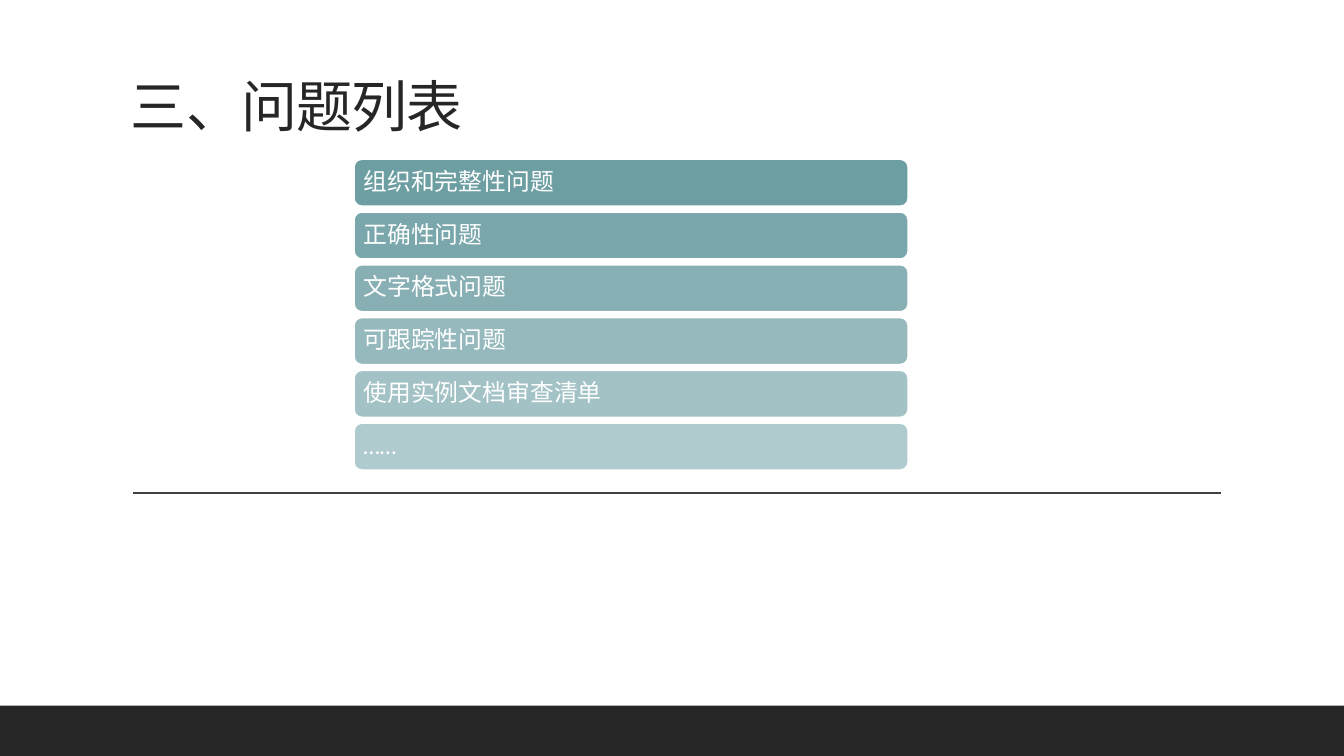
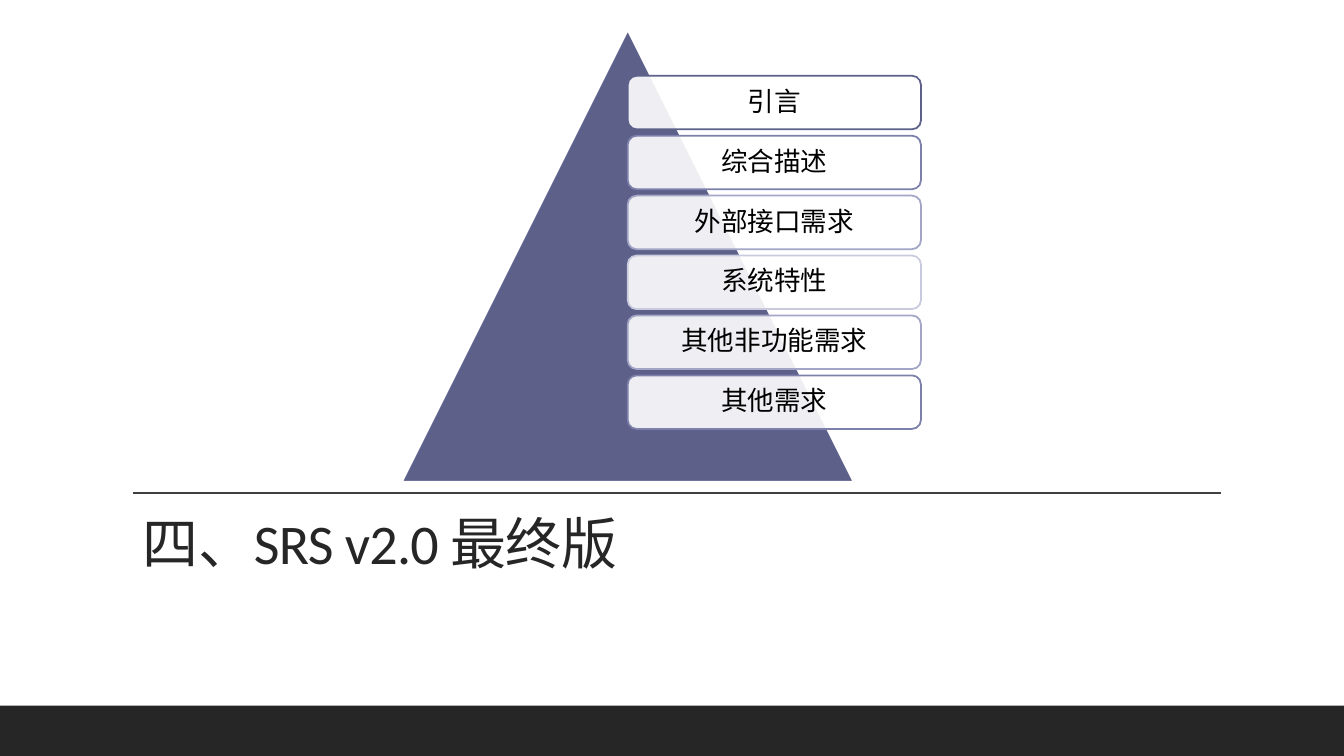
from pptx import Presentation
from pptx.dml.color import RGBColor
from pptx.enum.shapes import MSO_CONNECTOR as Connector, MSO_SHAPE as Shape
from pptx.enum.text import MSO_ANCHOR as Anchor, PP_ALIGN as Align
from pptx.oxml.ns import qn
from pptx.util import Cm, Pt
from lxml.etree import SubElement


def color(hex_string):
    return RGBColor.from_string(hex_string)


class Deck:
    FONT = "Calibri"
    INK = "262626"
    RULE = "404040"
    WHITE = "FFFFFF"
    BLACK = "000000"
    WIDTH = 33.87
    HEIGHT = 19.05
    BAND_HEIGHT = 1.27
    OUTLINE = 1.25

    def __init__(self):
        self.presentation = Presentation()
        self.presentation.slide_width = Cm(self.WIDTH)
        self.presentation.slide_height = Cm(self.HEIGHT)
        self.slide = None

    def new_slide(self):
        layout = self.presentation.slide_layouts[6]
        self.slide = self.presentation.slides.add_slide(layout)
        self.shape(Shape.RECTANGLE, 0, self.HEIGHT - self.BAND_HEIGHT,
                   self.WIDTH, self.BAND_HEIGHT, self.INK)
        self.rule(3.35, 30.78, 12.42)

    def rule(self, left, right, top):
        line = self.slide.shapes.add_connector(
            Connector.STRAIGHT, Cm(left), Cm(top), Cm(right), Cm(top))
        line.line.color.rgb = color(self.RULE)
        line.line.width = Pt(1)
        SubElement(line._element.spPr, qn("a:effectLst"))

    def shape(self, kind, left, top, width, height, fill, outline=None, opacity=100):
        shape = self.slide.shapes.add_shape(
            kind, Cm(left), Cm(top), Cm(width), Cm(height))
        shape.shadow.inherit = False
        shape.fill.solid()
        shape.fill.fore_color.rgb = color(fill)
        if opacity < 100:
            solid = shape._element.spPr.find(qn("a:solidFill"))
            SubElement(solid[0], qn("a:alpha"), val=str(opacity * 1000))
        if outline:
            shape.line.color.rgb = color(outline)
            shape.line.width = Pt(self.OUTLINE)
        else:
            shape.line.fill.background()
        return shape

    def text(self, shape, words, size, ink, anchor, align=Align.LEFT, inset=None):
        frame = shape.text_frame
        frame.word_wrap = True
        frame.vertical_anchor = anchor
        if inset is not None:
            frame.margin_left = frame.margin_right = Cm(inset)
            frame.margin_top = frame.margin_bottom = Cm(inset)
        paragraph = frame.paragraphs[0]
        paragraph.alignment = align
        paragraph.line_spacing = 0.9
        run = paragraph.add_run()
        run.text = words
        run.font.name = self.FONT
        run.font.size = Pt(size)
        run.font.color.rgb = color(ink)
        return run

    def title(self, words, left, top, width, height):
        box = self.slide.shapes.add_textbox(Cm(left), Cm(top), Cm(width), Cm(height))
        run = self.text(box, words, 40, self.INK, Anchor.BOTTOM)
        run.font._element.set("spc", "-50")

    def issue_list(self, items):
        for index, (words, fill) in enumerate(items):
            bar = self.shape(Shape.ROUNDED_RECTANGLE, 8.92, 4.01 + index * 1.33,
                             13.97, 1.19, fill, self.WHITE)
            self.text(bar, words, 17, self.WHITE, Anchor.MIDDLE, inset=0.18)

    def pyramid_list(self, items):
        self.shape(Shape.ISOSCELES_TRIANGLE, 10.13, 0.76, 11.38, 11.38,
                   "5D618A", self.WHITE)
        for index, (words, outline) in enumerate(items):
            card = self.shape(Shape.ROUNDED_RECTANGLE, 15.82, 1.91 + index * 1.51,
                              7.39, 1.35, self.WHITE, outline, opacity=90)
            self.text(card, words, 19, self.BLACK, Anchor.MIDDLE, Align.CENTER, 0.2)

    def save(self):
        self.presentation.save("out.pptx")


def main():
    deck = Deck()

    deck.new_slide()
    deck.title("三、问题列表", 3.05, 1.63, 9.02, 2.01)
    deck.issue_list([
        ("组织和完整性问题", "6D9EA2"),
        ("正确性问题", "7AA7AB"),
        ("文字格式问题", "88B0B4"),
        ("可跟踪性问题", "95B9BD"),
        ("使用实例文档审查清单", "A3C2C6"),
        ("……", "B0CBCE"),
    ])

    deck.new_slide()
    deck.title("四、SRS v2.0 最终版", 3.35, 12.78, 13.56, 1.88)
    deck.pyramid_list([
        ("引言", "5D618A"),
        ("综合描述", "7D80AA"),
        ("外部接口需求", "A2A5C5"),
        ("系统特性", "C9CADE"),
        ("其他非功能需求", "A2A5C5"),
        ("其他需求", "7D80AA"),
    ])

    deck.save()


if __name__ == "__main__":
    main()
